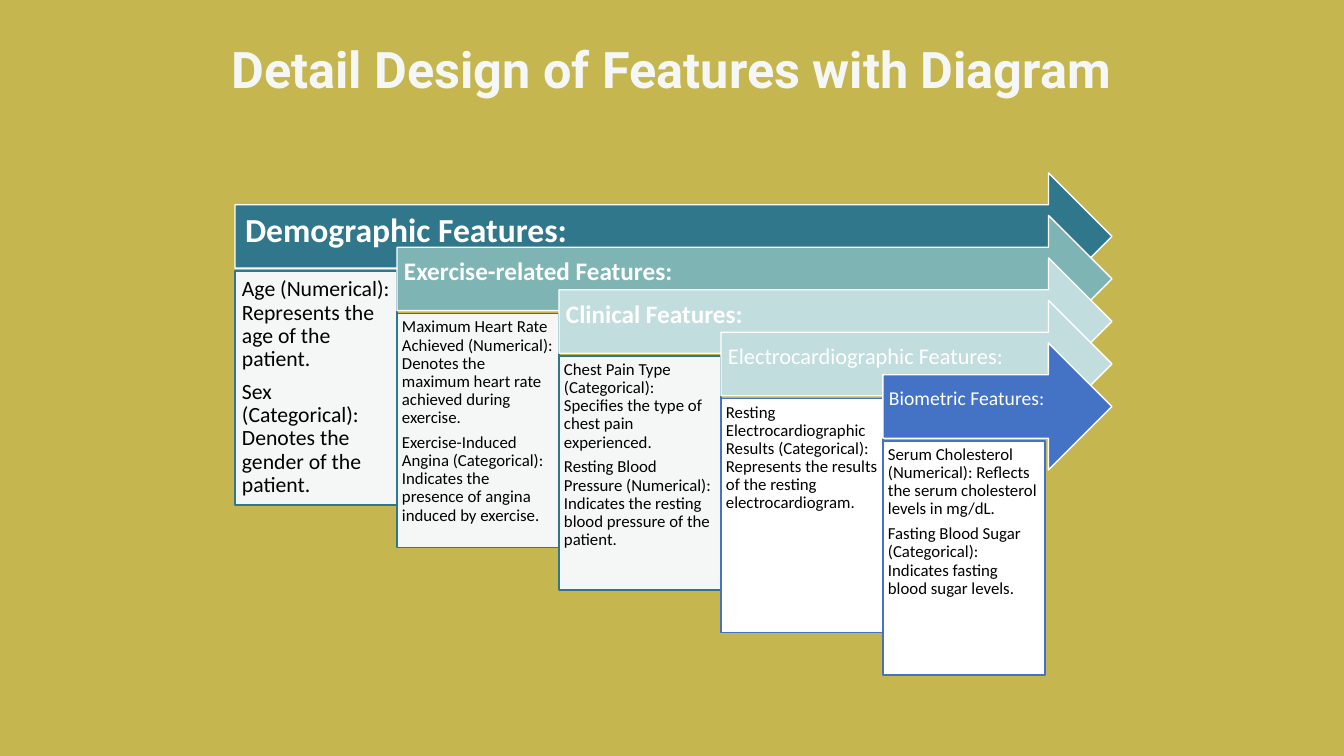
from pptx import Presentation
from pptx import util as u
from pptx.dml.color import RGBColor
from pptx.enum import shapes, text

PX = 914400 / 100.8
COLORS = {
    "olive": "C5B64F", "mist": "F5F7F6", "white": "FFFFFF", "black": "000000",
    "teal": "30778B", "sage": "7EB4B4", "pale": "C1DDDE", "blue": "4472C4",
}
# heading, heading size, bold, arrow fill, left inset, card fill, card line, card size, card inset, details
FEATURES = [
    ("Demographic Features:", 24, True, "teal", 10, "mist", "teal", 15.5, 7,
     ["Age (Numerical): Represents the age of the patient.",
      "Sex (Categorical): Denotes the gender of the patient."]),
    ("Exercise-related Features:", 18, True, "sage", 7, "mist", "teal", 12, 5,
     ["Maximum Heart Rate Achieved (Numerical): Denotes the maximum heart rate achieved during exercise.",
      "Exercise-Induced Angina (Categorical): Indicates the presence of angina induced by exercise."]),
    ("Clinical Features:", 18, True, "pale", 7, "mist", "teal", 12, 5,
     ["Chest Pain Type (Categorical): Specifies the type of chest pain experienced.",
      "Resting Blood Pressure (Numerical): Indicates the resting blood pressure of the patient."]),
    ("Electrocardiographic Features:", 16, False, "pale", 7, "white", "blue", 12, 5,
     ["Resting Electrocardiographic Results (Categorical): "
      "Represents the results of the resting electrocardiogram."]),
    ("Biometric Features:", 14, False, "blue", 6, "white", "blue", 12, 5,
     ["Serum Cholesterol (Numerical): Reflects the serum cholesterol levels in mg/dL.",
      "Fasting Blood Sugar (Categorical): Indicates fasting blood sugar levels."]),
]


def px(length):
    return u.Emu(round(length * PX))


def color(name):
    return RGBColor.from_string(COLORS[name])


def write(shape, lines, size, ink, insets, font="Calibri", bold=False,
          align=text.PP_ALIGN.LEFT, anchor=text.MSO_ANCHOR.TOP, leading=0.9):
    frame = shape.text_frame
    frame.word_wrap = True
    frame.vertical_anchor = anchor
    frame.margin_left, frame.margin_top, frame.margin_right, frame.margin_bottom = map(px, insets)
    frame.text = "\n".join(lines)
    for paragraph in frame.paragraphs:
        paragraph.alignment = align
        paragraph.line_spacing = leading
        paragraph.space_after = u.Pt(round(size * 0.4, 1))
        for run in paragraph.runs:
            run.font.name, run.font.size, run.font.bold = font, u.Pt(size), bold
            run.font.color.rgb = color(ink)


def add_block(slide, preset, box, fill, line):
    block = slide.shapes.add_shape(preset, *map(px, box))
    block.shadow.inherit = False
    block.fill.solid()
    block.fill.fore_color.rgb = color(fill)
    block.line.color.rgb = color(line)
    block.line.width = u.Pt(1)
    return block


def add_title(slide, box):
    title = slide.shapes.add_textbox(*map(px, box))
    write(title, ["Detail Design of Features with Diagram"], 36, "mist", (10, 5, 10, 5),
          font="Roboto", bold=True, align=text.PP_ALIGN.CENTER, leading=1.0)


def add_feature(slide, box, card_width, feature):
    """Place an arrow with its heading across the box and a detail card below its left end."""
    heading, size, bold, fill, inset, card_fill, card_line, card_size, card_inset, details = feature
    left, top, width, height = box
    arrow = add_block(slide, shapes.MSO_SHAPE.RIGHT_ARROW, (left, top, width, 127), fill, "white")
    write(arrow, [heading], size, "white", (inset, inset, 28, 20), bold=bold,
          anchor=text.MSO_ANCHOR.MIDDLE)
    card = add_block(slide, shapes.MSO_SHAPE.RECTANGLE,
                     (left, top + 98, card_width, height - 98), card_fill, card_line)
    write(card, details, card_size, "black", [card_inset] * 4)


def add_staircase(slide, box):
    """Step the features down to the right; every arrow ends at the same edge."""
    left, top, width, height = box
    card_width, feature_height = 162, 332
    drop = (height - feature_height) / (len(FEATURES) - 1)
    for step, feature in enumerate(FEATURES):
        shift = step * card_width
        add_feature(slide, (left + shift, top + step * drop, width - shift, feature_height),
                    card_width, feature)


def main():
    deck = Presentation()
    deck.slide_width, deck.slide_height = px(1344), px(756)
    slide = deck.slides.add_slide(deck.slide_layouts[6])
    slide.background.fill.solid()
    slide.background.fill.fore_color.rgb = color("olive")
    add_staircase(slide, (235, 173, 877, 502))
    add_title(slide, (183, 33, 977, 72))
    deck.save("out.pptx")


if __name__ == "__main__":
    main()
